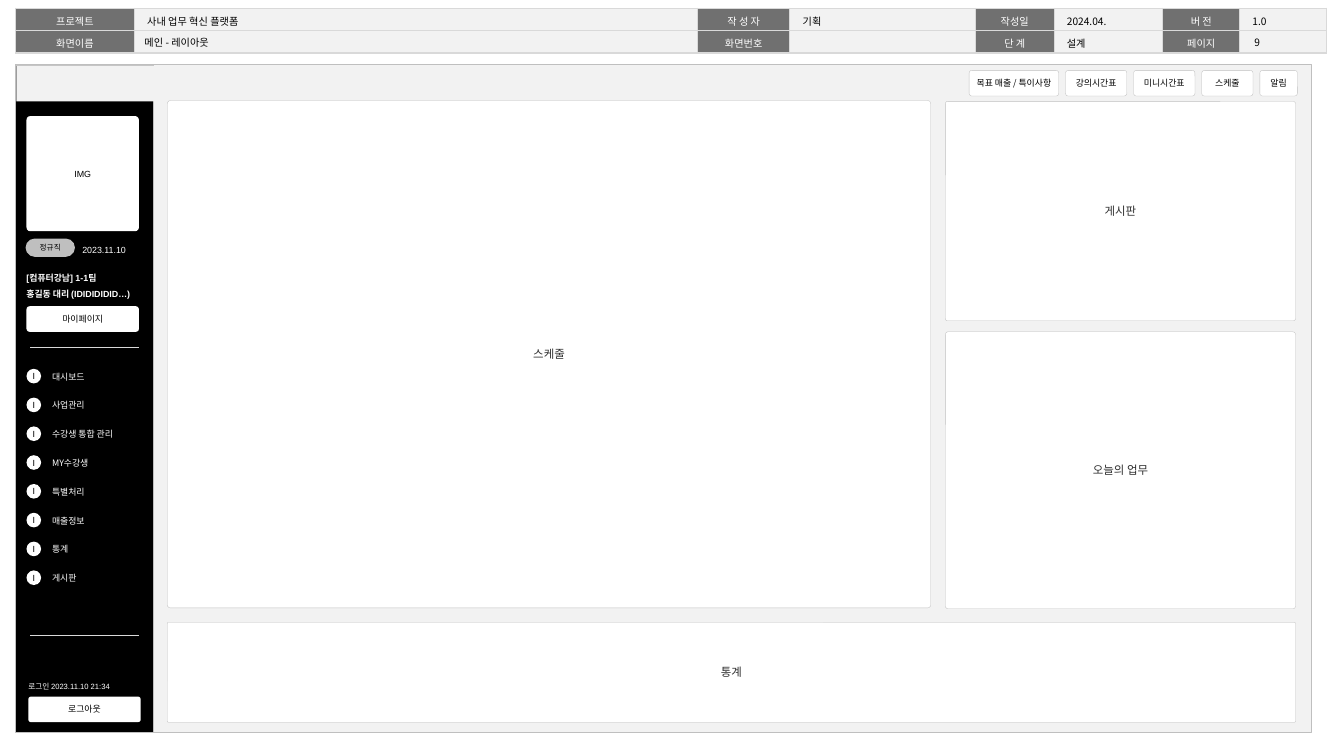
from dataclasses import dataclass
from typing import Optional

from lxml.etree import SubElement
from pptx import Presentation
from pptx.dml.color import RGBColor
from pptx.enum.shapes import MSO_SHAPE as Shape
from pptx.enum.text import MSO_ANCHOR as Anchor, PP_ALIGN as Align
from pptx.oxml.ns import qn
from pptx.util import Emu, Pt

EMU_PER_PX = 4572
KOREAN = "Noto Sans CJK KR"
LATIN = "Arial"
BLACK, WHITE, INK = "000000", "FFFFFF", "2E2E2E"
PANEL, LABEL, BORDER, RULE = "F2F2F2", "707070", "BFBFBF", "D9D9D9"
NO_TABLE_STYLE = "{2D5ABB26-0587-4C30-8999-92F81FD0307C}"
ALL_SIDES = "LRTB"


@dataclass(frozen=True)
class Type:
    size: int
    color: str = BLACK
    font: str = KOREAN
    align: Align = Align.LEFT
    spacing: float = 1.0
    bold: bool = False


@dataclass(frozen=True)
class Box:
    left: int
    top: int
    width: int
    height: int
    text: str = ""
    type: Type = Type(7, font=LATIN, align=Align.CENTER)
    kind: Shape = Shape.ROUNDED_RECTANGLE
    fill: Optional[str] = WHITE
    line: Optional[str] = None
    weight: float = 0.25
    radius: Optional[float] = None


@dataclass(frozen=True)
class Label:
    left: int
    top: int
    width: int
    height: int
    text: str
    type: Type
    inset: int = 0
    anchor: Anchor = Anchor.TOP


@dataclass(frozen=True)
class Cell:
    text: str
    type: Type
    fill: str
    inset: int = 0
    top_inset: int = 0
    anchor: Anchor = Anchor.TOP
    sides: str = ""
    line: str = RULE
    weight: float = 0.25


def px(length: int) -> Emu:
    return Emu(length * EMU_PER_PX)


def rgb(color: str) -> RGBColor:
    return RGBColor.from_string(color)


def write(frame, text: str, style: Type) -> None:
    frame.text = text
    for paragraph in frame.paragraphs:
        paragraph.alignment = style.align
        paragraph.line_spacing = style.spacing
        font = paragraph.font
        font.size, font.bold, font.name = Pt(style.size), style.bold, style.font
        font.color.rgb = rgb(style.color)
        SubElement(font._element, qn("a:ea"), typeface=KOREAN)
        if not paragraph.runs:
            paragraph._p.get_or_add_endParaRPr().set("sz", str(style.size * 100))


def draw_box(slide, box: Box) -> None:
    shape = slide.shapes.add_shape(
        box.kind, px(box.left), px(box.top), px(box.width), px(box.height))
    shape.shadow.inherit = False
    if box.radius is not None:
        shape.adjustments[0] = box.radius
    if box.fill:
        shape.fill.solid()
        shape.fill.fore_color.rgb = rgb(box.fill)
    else:
        shape.fill.background()
    if box.line:
        shape.line.color.rgb = rgb(box.line)
        shape.line.width = Pt(box.weight)
    else:
        shape.line.fill.background()
    if box.text:
        frame = shape.text_frame
        frame.word_wrap = False
        frame.vertical_anchor = Anchor.MIDDLE
        frame.margin_left = frame.margin_right = 0
        frame.margin_top = frame.margin_bottom = 0
        write(frame, box.text, box.type)


def draw_label(slide, label: Label) -> None:
    frame = slide.shapes.add_textbox(
        px(label.left), px(label.top), px(label.width), px(label.height)).text_frame
    frame.word_wrap = True
    frame.vertical_anchor = label.anchor
    frame.margin_left = frame.margin_right = px(label.inset)
    frame.margin_top = frame.margin_bottom = px(10)
    write(frame, label.text, label.type)


def draw_cell(target, cell: Cell) -> None:
    properties = target._tc.get_or_add_tcPr()
    for side in cell.sides:
        line = SubElement(properties, qn(f"a:ln{side}"), w=str(Pt(cell.weight)))
        SubElement(SubElement(line, qn("a:solidFill")), qn("a:srgbClr"), val=cell.line)
    target.fill.solid()
    target.fill.fore_color.rgb = rgb(cell.fill)
    target.vertical_anchor = cell.anchor
    target.margin_left, target.margin_right = px(cell.inset), 0
    if cell.type.align == Align.CENTER:
        target.margin_right = px(cell.inset)
    target.margin_top, target.margin_bottom = px(cell.top_inset), 0
    write(target.text_frame, cell.text, cell.type)


def draw_table(slide, left: int, top: int, widths: list[int], heights: list[int],
               rows: list[list[Cell]]) -> None:
    table = slide.shapes.add_table(
        len(heights), len(widths), px(left), px(top),
        px(sum(widths)), px(sum(heights))).table
    table.first_row = table.horz_banding = False
    table._tbl.tblPr.find(qn("a:tableStyleId")).text = NO_TABLE_STYLE
    for column, width in zip(table.columns, widths):
        column.width = px(width)
    for row, height, cells in zip(table.rows, heights, rows):
        row.height = px(height)
        for target, cell in zip(row.cells, cells):
            draw_cell(target, cell)


def header_cell(index: int, text: str) -> Cell:
    heading = index % 2 == 0
    style = Type(8, WHITE if heading else BLACK, spacing=1.05,
                 align=Align.CENTER if heading else Align.LEFT)
    return Cell(text, style, LABEL if heading else PANEL, 28, 10,
                sides=ALL_SIDES, weight=1)


def draw_header(slide) -> None:
    rows = [
        ["프로젝트", "사내 업무 혁신 플랫폼", "작 성 자", "기획",
         "작성일", "2024.04.", "버 전", "1.0"],
        ["화면이름", "", "화면번호", "", "단 계", "설계", "페이지", ""],
    ]
    draw_table(slide, 34, 18, [260, 1232, 202, 406, 172, 238, 168, 190], [49, 49],
               [[header_cell(index, text) for index, text in enumerate(row)]
                for row in rows])
    draw_label(slide, Label(294, 76, 770, 32, "메인 - 레이아웃", Type(8), 22, Anchor.MIDDLE))
    draw_label(slide, Label(2724, 76, 144, 32, "9", Type(8), 20, Anchor.MIDDLE))


def draw_frame(slide) -> None:
    draw_box(slide, Box(34, 142, 2836, 1460, kind=Shape.RECTANGLE, fill=PANEL))
    draw_table(slide, 34, 142, [302], [1460],
               [[Cell("", Type(7), BLACK, sides=ALL_SIDES, line=BORDER)]])
    draw_box(slide, Box(36, 144, 306, 78, kind=Shape.RECTANGLE, fill=PANEL))
    draw_box(slide, Box(34, 142, 2834, 1460, kind=Shape.RECTANGLE, fill=None,
                        line=BORDER, weight=0.75))


def draw_profile(slide) -> None:
    small = Type(6, font=LATIN, align=Align.CENTER)
    for box in (
        Box(58, 254, 246, 252, "IMG", radius=0.034),
        Box(58, 670, 246, 56, "마이페이지", radius=0.12),
        Box(62, 1524, 246, 56, "로그아웃", radius=0.11),
        Box(56, 522, 108, 40, "정규직", small, fill=BORDER, radius=0.5),
    ):
        draw_box(slide, box)
    for label in (
        Label(58, 574, 266, 90, "[컴퓨터강남] 1-1팀\n홍길동 대리 (IDIDIDIDID…)",
              Type(7, WHITE, LATIN, spacing=1.5, bold=True)),
        Label(62, 1472, 266, 50, "로그인 2023.11.10 21:34",
              Type(6, WHITE, LATIN, spacing=1.5)),
        Label(180, 514, 156, 56, "2023.11.10", Type(7, WHITE, LATIN, spacing=1.5)),
    ):
        draw_label(slide, label)


def draw_menu(slide) -> None:
    items = ["대시보드", "사업관리", "수강생 통합 관리", "MY수강생",
             "특별처리", "매출정보", "통계", "게시판"]
    pitch, style = 63, Type(7, WHITE)
    rows = [[Cell("", style, BLACK, sides="T")]]
    rows += [[Cell(item, style, BLACK, 48, anchor=Anchor.MIDDLE)] for item in items]
    rows += [[Cell("", style, BLACK, sides="B")]]
    draw_table(slide, 66, 760, [238], [32, *[pitch] * len(items), 94], rows)
    for index in range(len(items)):
        draw_box(slide, Box(58, 807 + index * pitch, 32, 32, "I", kind=Shape.OVAL))


def draw_content(slide) -> None:
    panel_type = Type(9, INK, align=Align.CENTER)
    for left, top, width, height, text, radius in (
        (366, 220, 1670, 1110, "스케줄", 0.006),
        (2068, 222, 766, 480, "게시판", 0.01),
        (2068, 726, 766, 606, "오늘의 업무", 0.01),
        (366, 1362, 2468, 218, "통계", 0.01),
    ):
        draw_box(slide, Box(left, top, width, height, text, panel_type,
                            line=BORDER, radius=radius))
    left, gap = 2120, 15
    for text, width in (("목표 매출 / 특이사항", 196), ("강의시간표", 134),
                        ("미니시간표", 134), ("스케줄", 112), ("알림", 82)):
        draw_box(slide, Box(left, 154, width, 56, text, Type(7, align=Align.CENTER),
                            line=BORDER, radius=0.1))
        left += width + gap


def main() -> None:
    """Build the main layout screen of the work platform and save it."""
    presentation = Presentation()
    presentation.slide_width, presentation.slide_height = px(2940), px(1654)
    slide = presentation.slides.add_slide(presentation.slide_layouts[6])
    for draw in (draw_header, draw_frame, draw_profile, draw_menu, draw_content):
        draw(slide)
    presentation.save("out.pptx")


if __name__ == "__main__":
    main()
